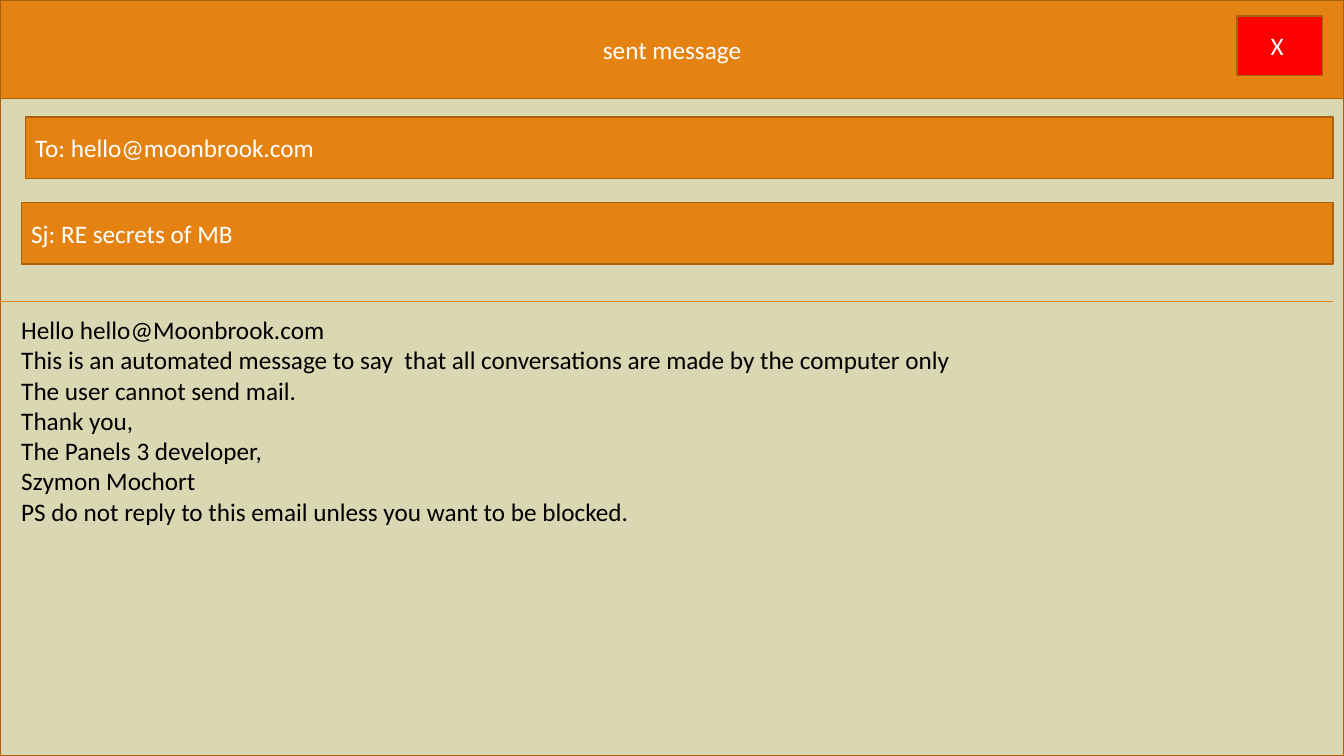
from pptx import Presentation
from pptx.dml.color import RGBColor
from pptx.enum.shapes import MSO_CONNECTOR, MSO_SHAPE
from pptx.enum.text import MSO_ANCHOR as Anchor, MSO_AUTO_SIZE as AutoSize, PP_ALIGN as Align
from pptx.oxml.ns import qn
from pptx.util import Inches, Pt
from lxml.etree import SubElement

ORANGE = RGBColor(0xE4, 0x83, 0x12)
BROWN = RGBColor(0xA9, 0x61, 0x0D)
BEIGE = RGBColor(0xDA, 0xD7, 0xB3)
RED = RGBColor(0xFF, 0x00, 0x00)
WHITE = RGBColor(0xFF, 0xFF, 0xFF)
BLACK = RGBColor(0x00, 0x00, 0x00)

# Shares of the slide in percent
RIGHT_EDGE = 99.18
FIELD_HEIGHT = 8.13
FIELDS = [
    ("To: hello@moonbrook.com", 1.88, 15.47),
    ("Sj: RE secrets of MB", 1.58, 26.8),
]
MESSAGE = [
    "Hello hello@Moonbrook.com",
    "This is an automated message to say  that all conversations are made by the computer only",
    "The user cannot send mail.",
    "Thank you,",
    "The Panels 3 developer,",
    "Szymon Mochort",
    "PS do not reply to this email unless you want to be blocked.",
]


class MailWindow:
    font_format = {"name": "Calibri", "size": Pt(18), "bold": False}
    paragraph_format = {"space_before": Pt(0), "space_after": Pt(0), "line_spacing": 1.0}

    def __init__(self, presentation):
        self.width = presentation.slide_width
        self.height = presentation.slide_height
        self.slide = presentation.slides.add_slide(presentation.slide_layouts[1])

    def box(self, left, top, width, height):
        return (round(self.width * left / 100), round(self.height * top / 100),
                round(self.width * width / 100), round(self.height * height / 100))

    def paint(self, shape, fill):
        shape.fill.solid()
        shape.fill.fore_color.rgb = fill
        shape.line.color.rgb = BROWN
        shape.line.width = Pt(1)

    def set_text(self, shape, lines, color, align, anchor=Anchor.MIDDLE, auto_size=AutoSize.NONE):
        frame = shape.text_frame
        frame.text = "\n".join(lines)
        frame_format = {"word_wrap": True, "auto_size": auto_size, "vertical_anchor": anchor}
        for name, value in frame_format.items():
            setattr(frame, name, value)
        for paragraph in frame.paragraphs:
            for name, value in {**self.paragraph_format, "alignment": align}.items():
                setattr(paragraph, name, value)
            properties = paragraph._p.get_or_add_pPr()
            properties.set("marL", "0")
            properties.set("indent", "0")
            SubElement(properties, qn("a:buNone"))
            for name, value in self.font_format.items():
                setattr(paragraph.font, name, value)
            paragraph.font.color.rgb = color

    def panel(self, box, fill, text=None, align=Align.LEFT):
        shape = self.slide.shapes.add_shape(MSO_SHAPE.RECTANGLE, *self.box(*box))
        shape.shadow.inherit = False
        self.paint(shape, fill)
        if text:
            self.set_text(shape, [text], WHITE, align)

    def place(self, placeholder, box):
        """Move a placeholder to its box, in front of what is drawn so far."""
        placeholder.left, placeholder.top, placeholder.width, placeholder.height = self.box(*box)
        self.slide.shapes._spTree.append(placeholder._element)

    def title_bar(self, box, text):
        title = self.slide.shapes.title
        self.place(title, box)
        self.paint(title, ORANGE)
        self.set_text(title, [text], WHITE, Align.CENTER)

    def body(self, box, lines):
        body = self.slide.placeholders[1]
        self.place(body, box)
        self.set_text(body, lines, BLACK, Align.LEFT, Anchor.TOP, AutoSize.SHAPE_TO_FIT_TEXT)

    def divider(self, top, right):
        left, y, length, _ = self.box(0, top, right, 0)
        line = self.slide.shapes.add_connector(MSO_CONNECTOR.STRAIGHT, left, y, left + length, y)
        line.line.color.rgb = ORANGE
        line.line.width = Pt(0.5)
        SubElement(line._element.spPr, qn("a:effectLst"))


def main():
    presentation = Presentation()
    presentation.slide_width = Inches(13.33)
    presentation.slide_height = Inches(7.5)
    window = MailWindow(presentation)

    # Window frame, title bar and close button
    window.panel((0, 0, 100, 100), BEIGE)
    window.title_bar((0, 0, 100, 13.07), "sent message")
    window.panel((92.05, 2.13, 6.38, 7.87), RED, "X ", Align.CENTER)

    # Address and subject
    for text, left, top in FIELDS:
        window.panel((left, top, RIGHT_EDGE - left, FIELD_HEIGHT), ORANGE, text)

    # Message
    window.divider(39.87, RIGHT_EDGE)
    window.body((0.83, 40.93, RIGHT_EDGE - 0.83, 29.6), MESSAGE)

    presentation.save("out.pptx")


if __name__ == "__main__":
    main()
